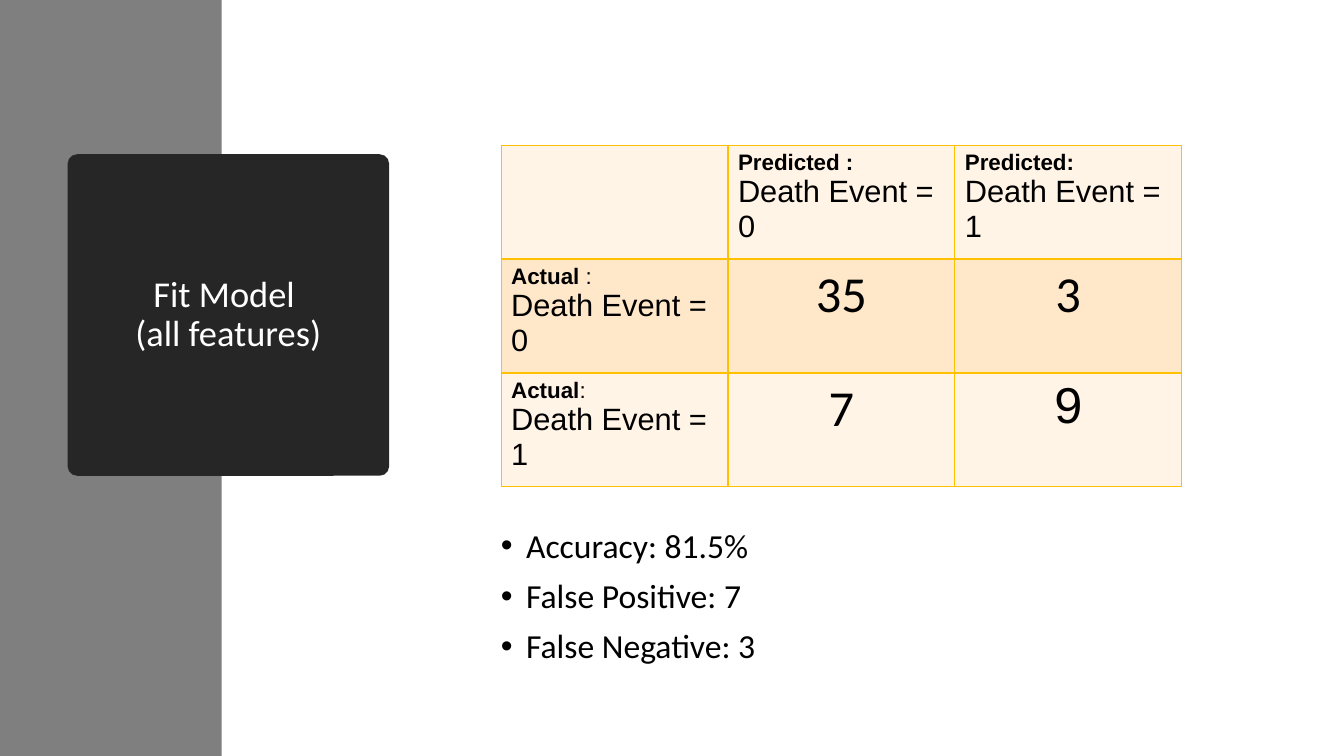
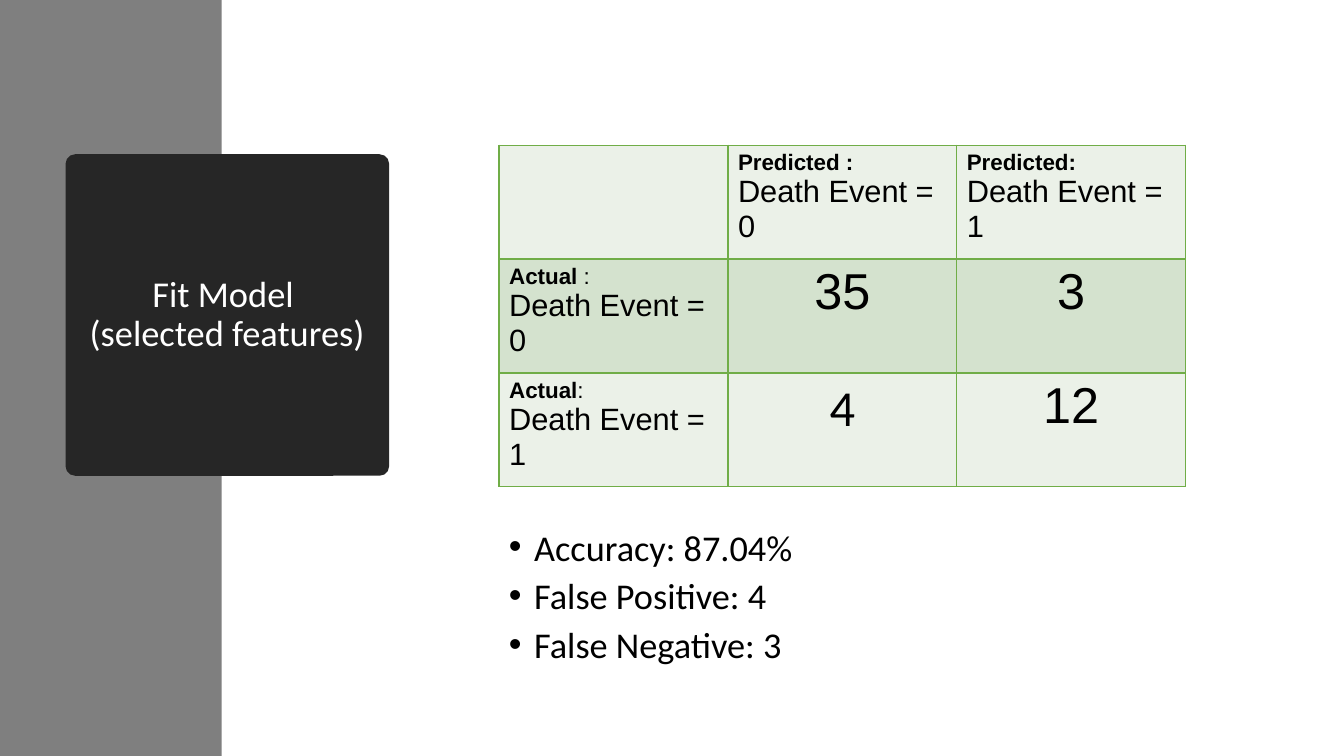
from lxml import etree
from pptx import Presentation
from pptx.dml.color import RGBColor
from pptx.enum.shapes import MSO_SHAPE
from pptx.enum.text import MSO_ANCHOR, PP_ALIGN
from pptx.oxml.ns import qn
from pptx.util import Inches, Pt

RECT = MSO_SHAPE.RECTANGLE
ROUND = MSO_SHAPE.ROUNDED_RECTANGLE
MIDDLE = MSO_ANCHOR.MIDDLE
CENTER = PP_ALIGN.CENTER
BLANK = 6

BLACK = RGBColor(0x00, 0x00, 0x00)
WHITE = RGBColor(0xFF, 0xFF, 0xFF)
GRAY = RGBColor(0x7F, 0x7F, 0x7F)
DARK = RGBColor(0x26, 0x26, 0x26)
GOLD = RGBColor(0xFF, 0xC0, 0x00)
CREAM = RGBColor(0xFF, 0xF4, 0xE6)
PEACH = RGBColor(0xFF, 0xE8, 0xCA)
GREEN = RGBColor(0x70, 0xAD, 0x47)
MIST = RGBColor(0xEB, 0xF1, 0xE8)
SAGE = RGBColor(0xD4, 0xE2, 0xCE)

SANS = "Arial"
BODY = "Calibri"

# Heading cells: bold part, plain part, second line
TOP = [("Predicted :", "", "Death Event = 0"),
       ("Predicted:", "", "Death Event = 1")]
SIDE = [("Actual", " :", "Death Event = 0"),
        ("Actual", ":", "Death Event = 1")]


def write(para, text, size=24, font=BODY, color=BLACK, bold=False):
    """Add text to a paragraph, with a line break at each newline."""
    for i, line in enumerate(text.split("\n")):
        if i:
            para.add_line_break()
        run = para.add_run()
        run.text = line
        run.font.size = Pt(size)
        run.font.name = font
        run.font.bold = bold
        run.font.color.rgb = color


def add_block(slide, kind, left, top, width, height, fill):
    shape = slide.shapes.add_shape(kind, Inches(left), Inches(top),
                                   Inches(width), Inches(height))
    shape.shadow.inherit = False
    shape.fill.solid()
    shape.fill.fore_color.rgb = fill
    shape.line.fill.background()
    return shape


def add_title(slide, text, left):
    add_block(slide, RECT, 0, 0, 2.2, 7.5, GRAY)
    panel = add_block(slide, ROUND, left, 1.53, 3.86 - left, 3.19, DARK)
    panel.adjustments[0] = 0.03
    frame = panel.text_frame
    frame.word_wrap = True
    frame.vertical_anchor = MIDDLE
    para = frame.paragraphs[0]
    para.alignment = CENTER
    para.line_spacing = 0.9
    write(para, text, size=26, color=WHITE)


def set_bullet(para):
    props = para._p.get_or_add_pPr()
    props.set("marL", str(Inches(0.25)))
    props.set("indent", str(-Inches(0.25)))
    etree.SubElement(props, qn("a:buFont"), typeface=SANS)
    etree.SubElement(props, qn("a:buChar"), char="•")


def add_list(slide, items, left, top, width, height, size, space):
    box = slide.shapes.add_textbox(Inches(left), Inches(top),
                                   Inches(width), Inches(height))
    frame = box.text_frame
    frame.word_wrap = True
    for i, item in enumerate(items):
        para = frame.add_paragraph() if i else frame.paragraphs[0]
        para.line_spacing = space
        para.space_before = Pt(10 if i else 0)
        set_bullet(para)
        write(para, item, size=size)


def set_border(cell, color):
    props = cell._tc.get_or_add_tcPr()
    for side in ("lnL", "lnR", "lnT", "lnB"):
        line = etree.SubElement(props, qn("a:" + side), w=str(Pt(1)))
        fill = etree.SubElement(line, qn("a:solidFill"))
        etree.SubElement(fill, qn("a:srgbClr"), val=str(color))


def fill_head(cell, strong, plain, event):
    frame = cell.text_frame
    para = frame.paragraphs[0]
    write(para, strong, size=16, font=SANS, bold=True)
    if plain:
        write(para, plain, size=16, font=SANS)
    write(frame.add_paragraph(), event, size=22, font=SANS)


def fill_count(cell, text, font):
    para = cell.text_frame.paragraphs[0]
    para.alignment = CENTER
    write(para, text, size=36, font=font)


def add_matrix(slide, counts, left, col, edge, light, band):
    """Add a confusion matrix; counts holds (text, font) pairs by row."""
    table = slide.shapes.add_table(3, 3, Inches(left), Inches(1.44),
                                   Inches(3 * col), Inches(3 * 1.13)).table
    table.first_row = False
    table.horz_banding = False
    for r in range(3):
        for c in range(3):
            cell = table.cell(r, c)
            set_border(cell, edge)
            cell.fill.solid()
            cell.fill.fore_color.rgb = band if r == 1 else light
            if r and c:
                fill_count(cell, *counts[r - 1][c - 1])
            elif r:
                fill_head(cell, *SIDE[r - 1])
            elif c:
                fill_head(cell, *TOP[c - 1])


def main():
    deck = Presentation()
    deck.slide_width = Inches(13.33)
    deck.slide_height = Inches(7.5)
    layout = deck.slide_layouts[BLANK]

    slide = deck.slides.add_slide(layout)
    add_title(slide, "Fit Model \n(all features)", 0.67)
    add_list(slide, ["Accuracy: 81.5%", "False Positive: 7",
                     "False Negative: 3"],
             4.87, 5.2, 7.86, 1.73, size=24, space=0.9)
    add_matrix(slide, [[("35", BODY), ("3", BODY)],
                       [("7", BODY), ("9", SANS)]],
               4.97, 2.25, GOLD, CREAM, PEACH)

    slide = deck.slides.add_slide(layout)
    add_title(slide, "Fit Model \n(selected features)", 0.65)
    add_list(slide, ["Accuracy: 87.04%", "False Positive: 4",
                     "False Negative: 3"],
             4.95, 5.24, 6.2, 1.45, size=25.9, space=0.8)
    add_matrix(slide, [[("35", SANS), ("3", SANS)],
                       [("4", BODY), ("12", SANS)]],
               4.95, 2.27, GREEN, MIST, SAGE)

    deck.save("out.pptx")


if __name__ == "__main__":
    main()
